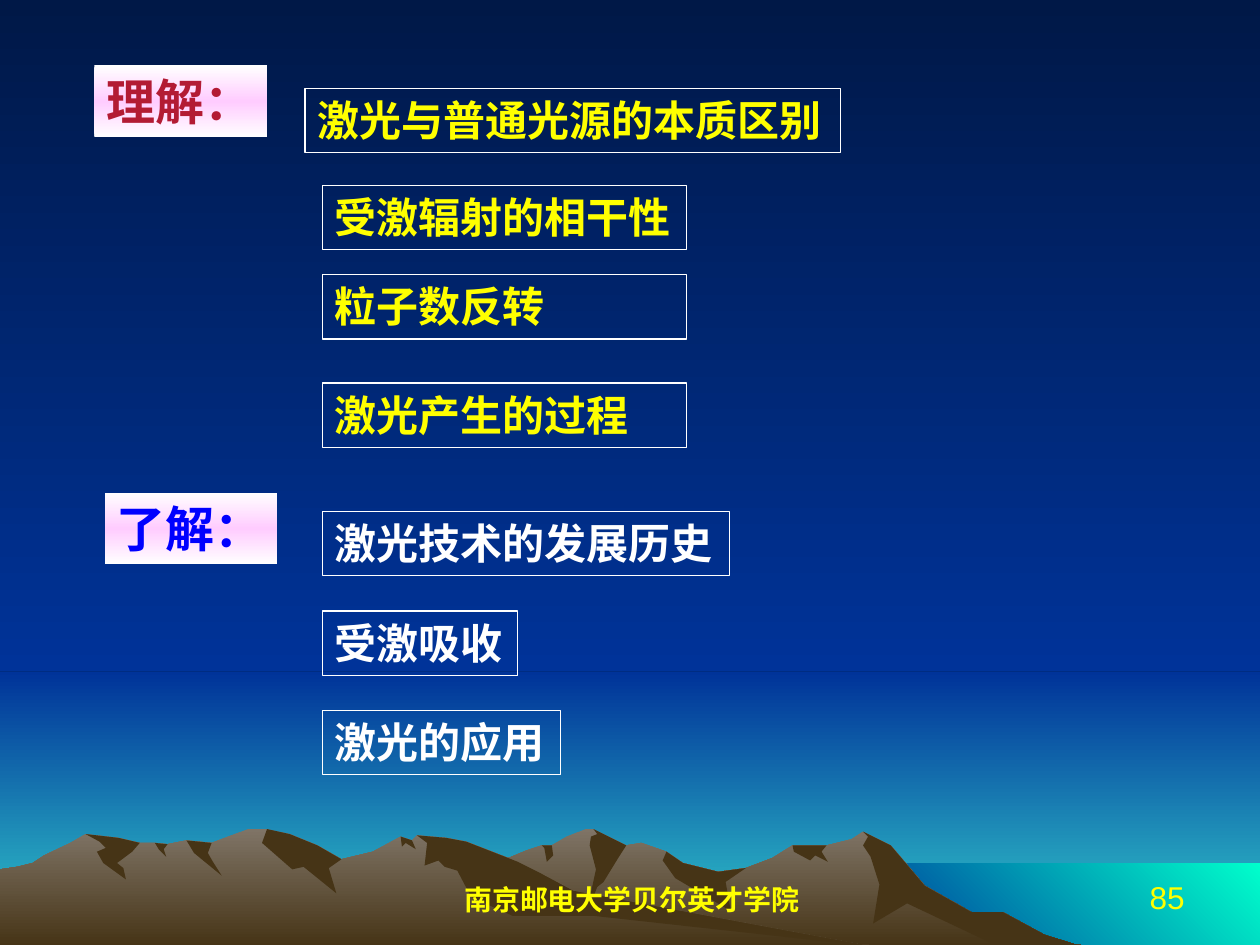
from collections import namedtuple
from lxml.etree import SubElement
from pptx import Presentation
from pptx.dml.color import RGBColor
from pptx.enum.shapes import MSO_SHAPE as SHAPE
from pptx.enum.text import MSO_ANCHOR as ANCHOR, MSO_AUTO_SIZE as AUTO_SIZE, PP_ALIGN as ALIGN
from pptx.oxml.ns import qn
from pptx.util import Pt

PX = 9144
Box = namedtuple("Box", "left top width height")
Range = namedtuple("Range", "crest shadows")
Shadow = namedtuple("Shadow", "start end foot")
COLORS = {
    "night": "001847", "blue": "003399", "horizon": "33CCCC", "sea": "00FFCC",
    "rock": "7F7466", "earth": "463416", "white": "FFFFFF", "pink": "FFCCFF",
    "yellow": "FFFF00", "red": "B31B34", "bright blue": "0000FF",
}

RIGHT_RANGE = Range(
    crest=[(258, 151), (277, 139), (327, 109), (355, 98), (394, 85), (418, 75), (430, 71),
           (438, 71), (450, 64), (465, 58), (471, 58), (497, 71), (509, 69), (529, 76),
           (542, 85), (570, 92), (592, 89), (613, 81), (629, 71), (656, 71), (676, 66),
           (685, 60), (707, 71), (734, 103), (771, 124), (796, 124), (829, 142), (858, 151)],
    shadows=[
        Shadow(430, 438, [(439, 79), (434, 84), (432, 73)]),
        Shadow(471, 497, [(490, 82), (479, 100), (474, 104), (465, 127), (473, 90),
                          (468, 71), (469, 64), (474, 62)]),
        Shadow(529, 592, [(576, 100), (580, 123), (536, 97), (526, 83)]),
        Shadow(629, 656, [(652, 76), (657, 84), (647, 79), (643, 83), (630, 76)]),
        Shadow(685, 858, [(792, 151), (720, 117), (693, 133), (698, 102), (691, 80),
                          (685, 71), (689, 64)]),
    ])
LEFT_RANGE = Range(
    crest=[(0, 90), (14, 88), (26, 85), (35, 79), (56, 69), (68, 62), (94, 65), (111, 69),
           (123, 69), (133, 70), (148, 67), (168, 69), (197, 58), (212, 58), (230, 62),
           (252, 71), (271, 82), (296, 76), (318, 64), (327, 67), (331, 63), (354, 65),
           (370, 68), (411, 84), (427, 92), (455, 107), (690, 151)],
    shadows=[
        Shadow(68, 111, [(105, 76), (93, 85), (98, 89), (100, 98), (82, 85), (77, 76),
                         (84, 73), (79, 68)]),
        Shadow(123, 133, [(130, 74), (132, 80), (126, 74)]),
        Shadow(148, 168, [(165, 77), (169, 84), (176, 95), (154, 77)]),
        Shadow(212, 271, [(261, 89), (267, 109), (241, 88), (232, 90), (208, 69)]),
        Shadow(318, 327, [(330, 74), (322, 69), (319, 72)]),
        Shadow(331, 690, [(472, 127), (407, 127), (374, 112), (363, 91), (353, 88),
                          (348, 83), (337, 87), (339, 69)]),
    ])
MAIN_TOPICS = [
    (167, 18, 425, "激光与普通光源的本质区别"),
    (181, 95, 289, "受激辐射的相干性"),
    (181, 166, 289, "粒子数反转"),
    (181, 252, 289, "激光产生的过程"),
]
LATER_TOPICS = [(323, "激光技术的发展历史"), (155, "受激吸收"), (189, "激光的应用")]
LATER_STEP = 79


def rgb(name):
    return RGBColor.from_string(COLORS[name])


def to_emu(box):
    return [value * PX for value in box]


def set_gradient(fill, element, names, angle=90):
    fill.gradient()
    fill.gradient_angle = -angle % 360
    stops = element.find(".//" + qn("a:gsLst"))
    for stop in list(stops):
        stops.remove(stop)
    for index, name in enumerate(names):
        stop = SubElement(stops, qn("a:gs"), pos=str(100000 * index // (len(names) - 1)))
        SubElement(stop, qn("a:srgbClr"), val=COLORS[name])


def paint(shape, *names, line=None, angle=90):
    shape.shadow.inherit = False
    if len(names) > 1:
        set_gradient(shape.fill, shape._element, names, angle)
    elif names:
        shape.fill.solid()
        shape.fill.fore_color.rgb = rgb(names[0])
    else:
        shape.fill.background()
    if line:
        shape.line.color.rgb = rgb(line)
        shape.line.width = Pt(0.75)
    else:
        shape.line.fill.background()


def add_rectangle(slide, box, *names, **style):
    shape = slide.shapes.add_shape(SHAPE.RECTANGLE, *to_emu(box))
    paint(shape, *names, **style)
    return shape


def add_outline(slide, box, points, *names):
    builder = slide.shapes.build_freeform(*points[0], scale=PX)
    builder.add_line_segments(points[1:], close=True)
    paint(builder.convert_to_shape(box.left * PX, box.top * PX), *names)


def write(shape, text, size=24, color="yellow", bold=True, align=ALIGN.LEFT,
          anchor=ANCHOR.TOP, wrap=True, grow=False):
    frame = shape.text_frame
    frame.word_wrap = wrap
    frame.vertical_anchor = anchor
    frame.auto_size = AUTO_SIZE.SHAPE_TO_FIT_TEXT if grow else AUTO_SIZE.NONE
    paragraph = frame.paragraphs[0]
    paragraph.alignment = align
    run = paragraph.add_run()
    run.text = text
    run.font.name = "Arial"
    run.font.size = Pt(size)
    run.font.bold = bold
    run.font.color.rgb = rgb(color)


def add_sky_and_sea(slide, box):
    horizon, shore, coast = 533, 685, 683
    add_rectangle(slide, Box(box.left, box.top, box.width, horizon), "night", "blue")
    add_rectangle(slide, Box(box.left, box.top + horizon, box.width, box.height - horizon),
                  "blue", "horizon")
    add_rectangle(slide, Box(box.left + coast, box.top + shore, box.width - coast,
                             box.height - shore), "blue", "sea", angle=315)


def add_mountain_range(slide, box, mountain_range):
    crest = mountain_range.crest
    base = [(crest[-1][0], box.height), (crest[0][0], box.height)]
    add_outline(slide, box, crest + base, "rock", "earth")
    for shadow in mountain_range.shadows:
        lit_edge = [point for point in crest if shadow.start <= point[0] <= shadow.end]
        add_outline(slide, box, lit_edge + shadow.foot, "earth")


def add_topics(slide, box, heading, heading_color, topics, color, wrap):
    label = add_rectangle(slide, Box(box.left, box.top, 137, 57), "white", "pink", "white")
    write(label, heading, size=28, color=heading_color, wrap=False, grow=True)
    for left, top, width, text in topics:
        topic = add_rectangle(slide, Box(box.left + left, box.top + top, width, 51),
                              line="white")
        write(topic, text, color=color, wrap=wrap, grow=True)


def add_footer(slide, box):
    school_width, number_width = 317, 233
    school_box = Box(box.left, box.top, school_width, box.height)
    number_box = Box(box.left + box.width - number_width, box.top, number_width, box.height)
    school = slide.shapes.add_textbox(*to_emu(school_box))
    write(school, "南京邮电大学贝尔英才学院", size=16, align=ALIGN.CENTER, anchor=ANCHOR.BOTTOM)
    number = slide.shapes.add_textbox(*to_emu(number_box))
    write(number, "85", size=18, bold=False, align=ALIGN.RIGHT, anchor=ANCHOR.BOTTOM)


def main():
    presentation = Presentation()
    presentation.slide_width, presentation.slide_height = 1000 * PX, 750 * PX
    slide = presentation.slides.add_slide(presentation.slide_layouts[6])
    set_gradient(slide.background.fill, slide._element, ["night", "blue"])
    add_sky_and_sea(slide, Box(0, 0, 1000, 750))
    for mountain_range in (RIGHT_RANGE, LEFT_RANGE):
        add_mountain_range(slide, Box(0, 600, 1000, 150), mountain_range)
    add_topics(slide, Box(75, 52, 592, 303), "理解：", "red", MAIN_TOPICS, "yellow", wrap=True)
    later_topics = [(173, 15 + LATER_STEP * row, width, text)
                    for row, (width, text) in enumerate(LATER_TOPICS)]
    add_topics(slide, Box(83, 391, 496, 224), "了解：", "bright blue", later_topics, "white",
               wrap=False)
    add_footer(slide, Box(343, 682, 607, 50))
    presentation.save("out.pptx")


if __name__ == "__main__":
    main()
